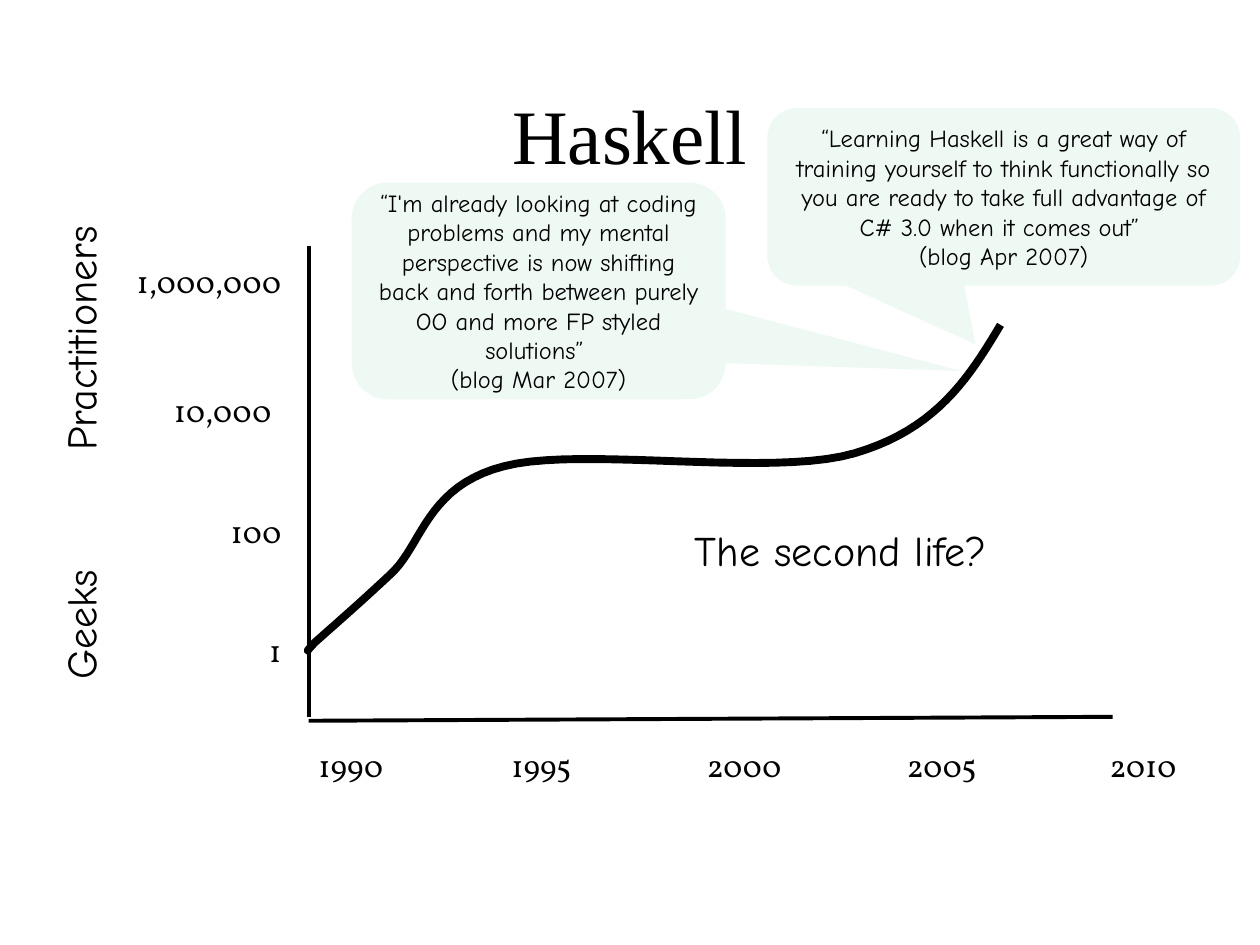
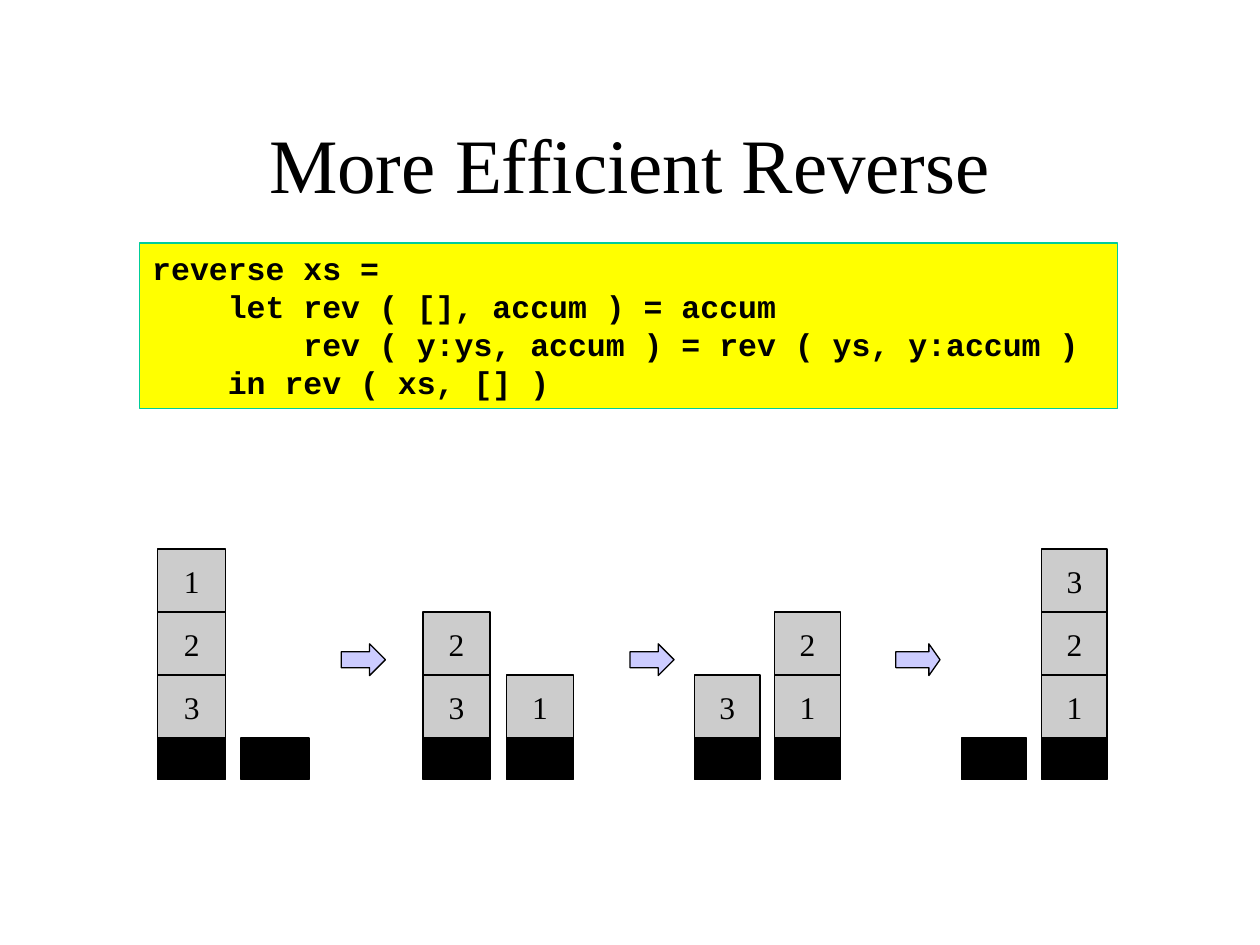
from dataclasses import dataclass

from lxml.etree import SubElement
from pptx import Presentation
from pptx.dml.color import RGBColor
from pptx.enum.shapes import MSO_CONNECTOR as Connector, MSO_SHAPE as Shape
from pptx.enum.text import MSO_ANCHOR as Anchor, PP_ALIGN as Align
from pptx.oxml.ns import qn
from pptx.util import Cm, Pt


@dataclass(frozen=True)
class Theme:
    ink: str = "000000"
    paper: str = "FFFFFF"
    quote: str = "EEF9F4"
    block: str = "CCCCCC"
    arrow: str = "CCCCFF"
    code: str = "FFFF00"
    code_edge: str = "00CC99"
    serif: str = "Times New Roman"
    hand: str = "Comic Neue"
    figures: str = "Vollkorn"
    mono: str = "Courier New"
    title_size: int = 44
    caption_size: int = 24
    body_size: int = 18
    quote_size: int = 14
    thin: float = 0.75
    axis: float = 2.25
    curve: float = 4.5


THEME = Theme()


def rgb(value):
    return RGBColor.from_string(value)


def write(shape, paragraphs, font, size, align=Align.CENTER,
          anchor=Anchor.TOP, bold=False, wrap=True):
    """Fill a shape with paragraphs; a newline inside one is a line break."""
    frame = shape.text_frame
    frame.word_wrap = wrap
    frame.vertical_anchor = anchor
    for index, text in enumerate(paragraphs):
        paragraph = frame.paragraphs[0] if index == 0 else frame.add_paragraph()
        paragraph.alignment = align
        for row, line in enumerate(text.split("\n")):
            if row:
                paragraph.add_line_break()
            run = paragraph.add_run()
            run.text = line
            run.font.name = font
            run.font.size = Pt(size)
            run.font.bold = bold
            run.font.color.rgb = rgb(THEME.ink)


def add_text(slide, text, left, top, width, height, font, size, **style):
    box = slide.shapes.add_textbox(Cm(left), Cm(top), Cm(width), Cm(height))
    write(box, [text], font, size, **style)


def add_title(slide, text, height):
    add_text(slide, text, 1.9, 1.7, 21.6, height, THEME.serif, THEME.title_size,
             anchor=Anchor.MIDDLE)


def add_figure(slide, kind, left, top, width, height, fill, edge=None):
    shape = slide.shapes.add_shape(kind, Cm(left), Cm(top), Cm(width), Cm(height))
    shape.shadow.inherit = False
    shape.fill.solid()
    shape.fill.fore_color.rgb = rgb(fill)
    if edge:
        shape.line.color.rgb = rgb(edge)
        shape.line.width = Pt(THEME.thin)
    else:
        shape.line.fill.background()
    return shape


def add_caption(slide, text, left, top, width, rotation=0):
    caption = add_figure(slide, Shape.RECTANGLE, left, top, width, 1.3, THEME.paper)
    caption.rotation = rotation
    write(caption, [text], THEME.hand, THEME.caption_size)


def add_quote(slide, text, left, top, width, height, tip):
    """Add a callout whose tip is given as shares of its size from its centre."""
    callout = add_figure(slide, Shape.ROUNDED_RECTANGULAR_CALLOUT,
                         left, top, width, height, THEME.quote)
    callout.adjustments[0], callout.adjustments[1] = tip
    write(callout, [text], THEME.hand, THEME.quote_size, anchor=Anchor.MIDDLE)


def add_axis(slide, start, end):
    axis = slide.shapes.add_connector(
        Connector.STRAIGHT, *(Cm(value) for value in (*start, *end)))
    axis.line.color.rgb = rgb(THEME.ink)
    axis.line.width = Pt(THEME.axis)
    SubElement(axis._element.spPr, qn("a:effectLst"))


def bezier(points, steps=20):
    """List points along a cubic curve, without its start."""
    for step in range(1, steps + 1):
        t = step / steps
        weights = ((1 - t) ** 3, 3 * t * (1 - t) ** 2, 3 * t * t * (1 - t), t ** 3)
        yield tuple(Cm(sum(w * p[axis] for w, p in zip(weights, points)))
                    for axis in (0, 1))


def add_curve(slide, start, segments):
    builder = slide.shapes.build_freeform(Cm(start[0]), Cm(start[1]))
    for segment in segments:
        builder.add_line_segments(list(bezier((start, *segment))), close=False)
        start = segment[-1]
    curve = builder.convert_to_shape()
    curve.shadow.inherit = False
    curve.fill.background()
    curve.line.color.rgb = rgb(THEME.ink)
    curve.line.width = Pt(THEME.curve)


def add_stacks(slide, left, pitch, width, stacks):
    """Stand numbered blocks, listed from the bottom up, on black bases."""
    base_top, block_height = 14.88, 1.27
    for column, numbers in enumerate(stacks):
        x = left + column * pitch
        for level, number in enumerate(numbers, 1):
            block = add_figure(slide, Shape.RECTANGLE, x, base_top - level * block_height,
                               width, block_height, THEME.block, THEME.ink)
            write(block, [number], THEME.serif, THEME.body_size,
                  anchor=Anchor.MIDDLE, wrap=False)
        add_figure(slide, Shape.RECTANGLE, x, base_top, width, 0.84,
                   THEME.ink, THEME.ink)


def add_step_arrow(slide, left, head):
    arrow = add_figure(slide, Shape.RIGHT_ARROW, left, 12.98, 0.89, 0.64,
                       THEME.arrow, THEME.ink)
    arrow.adjustments[1] = head


def build_haskell(slide):
    add_title(slide, "Haskell", 2)
    for count, right, top in (("1,000,000", 5.92, 5.16), ("10,000", 5.72, 7.75),
                              ("100", 5.92, 10.19), ("1", 5.92, 12.6)):
        add_text(slide, count, right - 5.13, top, 5.13, 1.02,
                 THEME.figures, THEME.body_size, align=Align.RIGHT)
    add_axis(slide, (6.22, 4.95), (6.22, 14.45))
    add_axis(slide, (22.43, 14.45), (6.22, 14.53))
    add_curve(slide, (6.22, 13.11), (
        ((6.15, 13.16), (6.35, 12.95), (6.35, 12.95)),
        ((6.63, 12.7), (7.24, 12.17), (7.87, 11.58)),
        ((8.51, 11), (8.59, 9.8), (10.16, 9.4)),
        ((11.71, 8.99), (15.54, 9.63), (17.22, 9.14)),
        ((18.87, 8.66), (19.53, 7.62), (20.17, 6.55))))
    add_caption(slide, "The second life?", 13.28, 10.44, 7.34)
    add_quote(slide, "“Learning Haskell is a great way of training yourself to think "
              "functionally so you are ready to take full advantage of C# 3.0 when "
              "it comes out” \n(blog Apr 2007)", 15.47, 2.18, 9.53, 3.58, (-0.06, 0.83))
    add_quote(slide, "“I'm already looking at coding problems and my mental "
              "perspective is now shifting back and forth between purely OO and more "
              "FP styled solutions” \n(blog Mar 2007)", 7.09, 3.68, 7.54, 4.37, (1.13, 0.37))
    for year, left in (("1990", 6.17), ("1995", 10.06), ("2000", 14),
                       ("2005", 18.03), ("2010", 22.12)):
        add_text(slide, year, left, 14.91, 2.26, 1.02,
                 THEME.figures, THEME.body_size, align=Align.LEFT)
    add_caption(slide, "Geeks", -0.43, 11.94, 4.11, rotation=270)
    add_caption(slide, "Practitioners", -1.22, 6.17, 5.69, rotation=270)


def build_reverse(slide):
    add_title(slide, "More Efficient Reverse", 3.18)
    for left, pitch, width, stacks in (
            (3.18, 1.68, 1.37, ("321", "")),
            (8.53, 1.68, 1.35, ("32", "1")),
            (14, 1.62, 1.32, ("3", "12")),
            (19.38, 1.62, 1.32, ("", "123"))):
        add_stacks(slide, left, pitch, width, stacks)
    for left, head in ((6.88, 0.5), (12.7, 0.5), (18.06, 0.35)):
        add_step_arrow(slide, left, head)
    code = add_figure(slide, Shape.RECTANGLE, 2.82, 4.9, 19.71, 3.33,
                      THEME.code, THEME.code_edge)
    write(code, ["reverse xs =",
                 "    let rev ( [], accum ) = accum",
                 "        rev ( y:ys, accum ) = rev ( ys, y:accum )",
                 "    in rev ( xs, [] )"],
          THEME.mono, THEME.body_size, align=Align.LEFT, bold=True)


def main():
    deck = Presentation()
    deck.slide_width, deck.slide_height = Cm(25.4), Cm(19.05)
    blank = deck.slide_layouts[6]
    for build in (build_haskell, build_reverse):
        build(deck.slides.add_slide(blank))
    deck.save("out.pptx")


if __name__ == "__main__":
    main()
